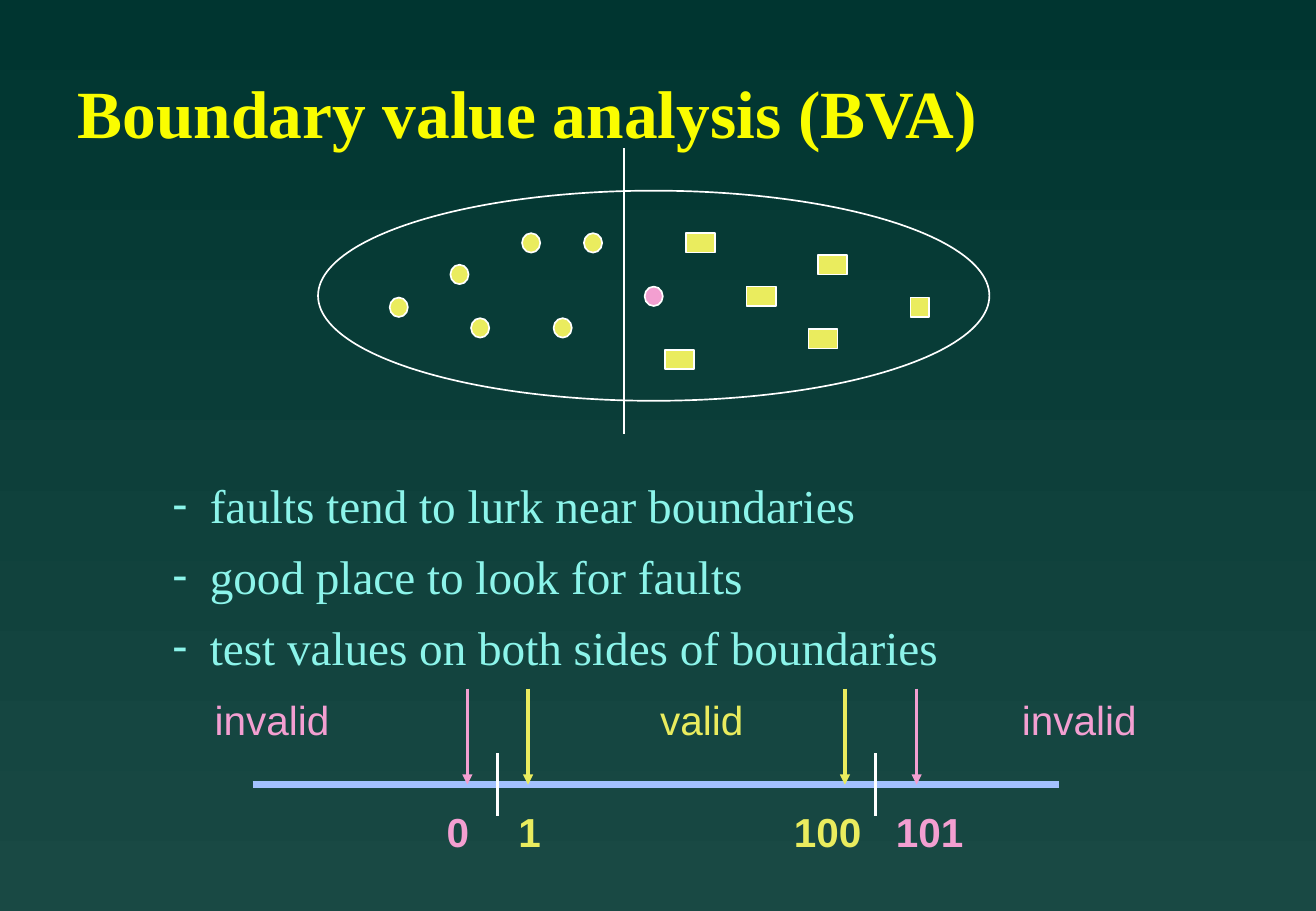
from lxml import etree
from pptx import Presentation
from pptx.dml.color import RGBColor
from pptx.enum import shapes, text
from pptx.oxml import ns
from pptx.util import Inches, Pt

YELLOW = RGBColor(0xFA, 0xFD, 0x00)
LEMON = RGBColor(0xEA, 0xEC, 0x5E)
PINK = RGBColor(0xF3, 0x9F, 0xD1)
AQUA = RGBColor(0x8C, 0xF4, 0xEA)
BLUE = RGBColor(0xA2, 0xC1, 0xFE)
WHITE = RGBColor(0xFF, 0xFF, 0xFF)
DARK = RGBColor(0x00, 0x35, 0x30)
TEAL = RGBColor(0x19, 0x49, 0x44)

OVAL = shapes.MSO_SHAPE.OVAL
RECT = shapes.MSO_SHAPE.RECTANGLE


def add_sub(parent, tag, **attrs):
    return etree.SubElement(parent, ns.qn(tag), **attrs)


def add_mark(slide, kind, box, fill=None):
    mark = slide.shapes.add_shape(kind, *map(Inches, box))
    mark.shadow.inherit = False
    if fill is None:
        mark.fill.background()
    else:
        mark.fill.solid()
        mark.fill.fore_color.rgb = fill
    mark.line.color.rgb = WHITE
    mark.line.width = Pt(1)


def add_line(slide, start, end, color, width, arrow=False):
    line = slide.shapes.add_connector(
        shapes.MSO_CONNECTOR.STRAIGHT, *map(Inches, start + end))
    line.line.color.rgb = color
    line.line.width = Pt(width)
    if arrow:
        tip = line._element.spPr.find(ns.qn("a:ln"))
        add_sub(tip, "a:tailEnd", type="triangle")
    add_sub(line._element.spPr, "a:effectLst")


def add_text(slide, box, lines, size, face, color, bold=False,
             inset=(0.1, 0.05)):
    shape = slide.shapes.add_textbox(*map(Inches, box))
    frame = shape.text_frame
    frame.word_wrap = True
    frame.margin_left = frame.margin_right = Inches(inset[0])
    frame.margin_top = frame.margin_bottom = Inches(inset[1])
    frame.text = "\n".join(lines)
    for para in frame.paragraphs:
        for run in para.runs:
            run.font.size = Pt(size)
            run.font.name = face
            run.font.bold = bold
            run.font.color.rgb = color
    return frame


def add_title(slide, box):
    frame = add_text(slide, box, ["Boundary value analysis (BVA)"], 40,
                     "Times New Roman", YELLOW, bold=True)
    frame.vertical_anchor = text.MSO_ANCHOR.MIDDLE


def add_domain(slide, box):
    left, top, width, height = box
    add_mark(slide, OVAL, box)

    # Values on the left of the boundary, with one stray on the right
    dots = [(1.68, 0.35), (0.59, 0.88), (2.19, 0.35),
            (1.26, 1.05), (1.09, 0.61), (1.94, 1.05)]
    for x, y in dots:
        add_mark(slide, OVAL, (left + x, top + y, 0.15, 0.16), LEMON)
    add_mark(slide, OVAL, (left + 2.69, top + 0.79, 0.15, 0.16), PINK)

    # Boundary
    add_line(slide, (left + 2.52, top - 0.35),
             (left + 2.52, top + height + 0.27), WHITE, 1)

    # Values on the right
    blocks = [(4.88, 0.88, 0.15), (3.03, 0.35, 0.24), (3.53, 0.79, 0.24),
              (2.86, 1.31, 0.24), (4.04, 1.14, 0.24), (4.12, 0.53, 0.24)]
    for x, y, w in blocks:
        add_mark(slide, RECT, (left + x, top + y, w, 0.16), LEMON)


def add_points(slide, box):
    lines = ["faults tend to lurk near boundaries",
             "good place to look for faults",
             "test values on both sides of boundaries"]
    frame = add_text(slide, box, lines, 28, "Times New Roman", AQUA)
    for i, para in enumerate(frame.paragraphs):
        props = para._p.get_or_add_pPr()
        props.set("marL", str(Inches(0.82)))
        props.set("indent", str(Inches(-0.31)))
        tint = add_sub(props, "a:buClr")
        add_sub(tint, "a:srgbClr", val=str(AQUA))
        add_sub(props, "a:buFont", typeface="Arial")
        add_sub(props, "a:buChar", char="-")
        if i:
            para.space_before = Pt(8.4)


def add_scale(slide, box):
    left, top, width, height = box
    axis = top + 0.79

    # Axis and the two limits
    add_line(slide, (left, axis), (left + width, axis), BLUE, 4)
    for x in (2.02, 5.13):
        add_line(slide, (left + x, axis - 0.26),
                 (left + x, axis + 0.26), WHITE, 2)

    # Test values: label, label left, label width, arrow place
    values = [("0", 1.53, 0.4, 1.77, PINK), ("1", 2.12, 0.4, 2.27, LEMON),
              ("100", 4.39, 0.8, 4.88, LEMON), ("101", 5.23, 0.8, 5.47, PINK)]
    for label, x, w, tip, color in values:
        frame = add_text(slide, (left + x, axis + 0.2, w, 0.42), [label], 24,
                         "Arial", color, True, (0.07, 0.03))
        frame.paragraphs[0].line_spacing = 0.9
        add_line(slide, (left + tip, top), (left + tip, axis), color, 2, True)

    # Names of the ranges
    ranges = [("invalid", -0.41, 1.3, PINK), ("valid", 3.26, 1, LEMON),
              ("invalid", 6.24, 1.3, PINK)]
    for name, x, w, color in ranges:
        add_text(slide, (left + x, top, w, 0.5), [name], 24, "Arial", color)


def main():
    deck = Presentation()
    deck.slide_width = Inches(10.84)
    deck.slide_height = Inches(7.5)
    slide = deck.slides.add_slide(deck.slide_layouts[6])

    # Background
    fill = slide.background.fill
    fill.gradient()
    fill.gradient_angle = 270
    for stop, color in zip(fill.gradient_stops, (DARK, TEAL)):
        stop.color.rgb = color

    add_title(slide, (0.54, 0.58, 9.21, 0.67))
    add_domain(slide, (2.62, 1.57, 5.53, 1.73))
    add_points(slide, (0.81, 3.87, 9.21, 1.87))
    add_scale(slide, (2.08, 5.67, 6.64, 1.41))
    deck.save("out.pptx")


if __name__ == "__main__":
    main()
